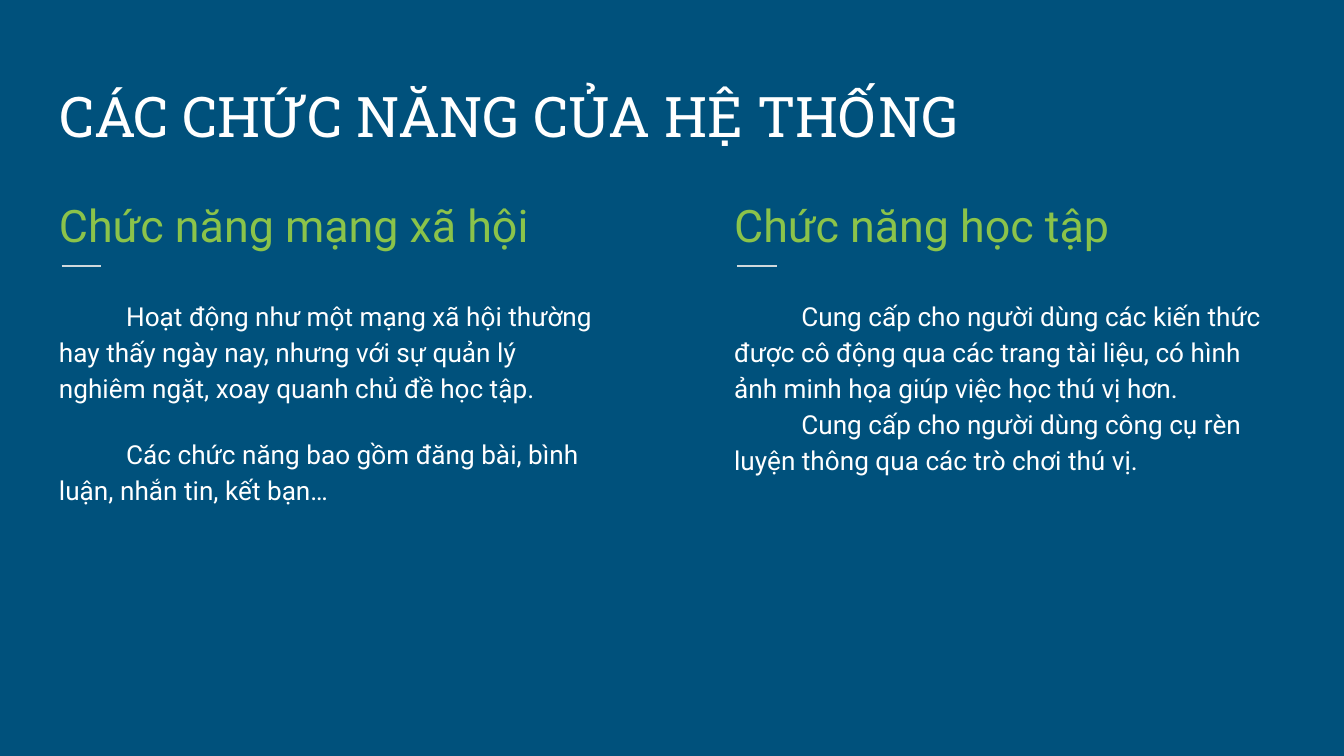
from pptx import Presentation
from pptx.dml.color import RGBColor
from pptx.enum.shapes import MSO_CONNECTOR
from pptx.enum.text import MSO_ANCHOR as Anchor, MSO_AUTO_SIZE as AutoSize, PP_ALIGN as Align
from pptx.oxml.ns import qn
from pptx.util import Pt
from lxml import etree


def color(value):
    return RGBColor.from_string(value)


def fill_text(box, texts, font, size, value, anchor=Anchor.TOP, spacing=1.15, indent=0, gap=0):
    frame = box.text_frame
    frame.word_wrap = True
    frame.auto_size = AutoSize.NONE
    frame.vertical_anchor = anchor
    frame.margin_left = frame.margin_right = Pt(7.2)
    frame.margin_top = frame.margin_bottom = Pt(7.2)
    frame.text = "\n".join(texts)
    for index, para in enumerate(frame.paragraphs):
        para.alignment = Align.LEFT
        para.line_spacing = spacing
        para.space_before = Pt(gap if index else 0)
        para._p.get_or_add_pPr().set("indent", str(Pt(indent)))
        for span in para.runs:
            span.font.name = font
            span.font.size = Pt(size)
            span.font.color.rgb = color(value)


deck = Presentation()
deck.slide_width, deck.slide_height = Pt(720), Pt(405)
page = deck.slides.add_slide(deck.slide_layouts[5])
page.background.fill.solid()
page.background.fill.fore_color.rgb = color("00517C")

title = page.shapes.title
title.left, title.top, title.width, title.height = Pt(24.5), Pt(29.5), Pt(671), Pt(57.6)
fill_text(title, ["CÁC CHỨC NĂNG CỦA HỆ THỐNG"], "Roboto Slab", 30, "FFFFFF", Anchor.BOTTOM, 1)

columns = [
    (24.5, "Chức năng mạng xã hội", 16, [
        "Hoạt động như một mạng xã hội thường hay thấy ngày nay, nhưng với sự quản lý "
        "nghiêm ngặt, xoay quanh chủ đề học tập.",
        "Các chức năng bao gồm đăng bài, bình luận, nhắn tin, kết bạn…",
    ]),
    (386.2, "Chức năng học tập", 0, [
        "Cung cấp cho người dùng các kiến thức được cô động qua các trang tài liệu, có hình "
        "ảnh minh họa giúp việc học thú vị hơn.",
        "Cung cấp cho người dùng công cụ rèn luyện thông qua các trò chơi thú vị.",
    ]),
]

for left, heading, gap, texts in columns:
    heading_box = page.shapes.add_textbox(Pt(left), Pt(94.3), Pt(303), Pt(41))
    fill_text(heading_box, [heading], "Roboto", 24, "8BC34A")

    rule = page.shapes.add_connector(
        MSO_CONNECTOR.STRAIGHT, Pt(left + 8.5), Pt(142.6), Pt(left + 29.8), Pt(142.6))
    rule.line.color.rgb = color("CFD8DC")
    rule.line.width = Pt(0.75)
    etree.SubElement(rule._element.spPr, qn("a:effectLst"))

    body_box = page.shapes.add_textbox(Pt(left), Pt(151.2), Pt(303), Pt(216.7))
    fill_text(body_box, texts, "Roboto", 14, "FFFFFF", indent=36, gap=gap)

deck.save("out.pptx")
